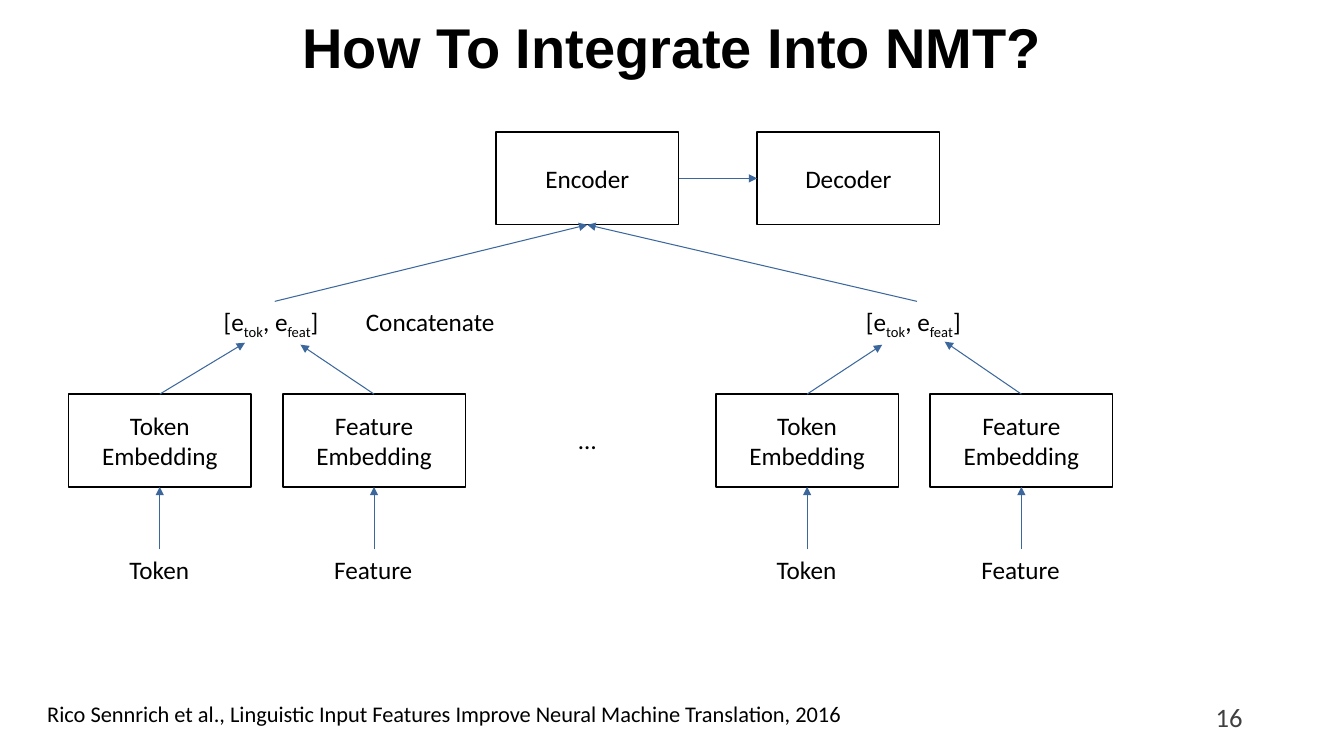
import pptx
import pptx.util
import pptx.dml.color
import pptx.enum.shapes
import pptx.enum.text
import pptx.oxml.ns
from lxml import etree

Inches, Pt = pptx.util.Inches, pptx.util.Pt
ALIGN = pptx.enum.text.PP_ALIGN
ANCHOR = pptx.enum.text.MSO_ANCHOR

TITLE = "How To Integrate Into NMT?"
PAGE_NUMBER = "16"
CITATION = ("Rico Sennrich et al., Linguistic Input Features Improve "
            "Neural Machine Translation, 2016")
VECTOR = [("[e", False), ("tok", True), (", e", False), ("feat", True), ("]", False)]
INPUTS = [("Token", 0.8), ("Feature", 0.99)]
GROUPS = [
    {"left": 0.68, "vector_left": 2.12, "tips": [(2.43, 3.4), (2.98, 3.42)]},
    {"left": 7.1, "vector_left": 8.49, "tips": [(8.75, 3.42), (9.37, 3.39)]},
]
COLORS = {"text": "000000", "number": "404040", "box": "FFFFFF",
          "border": "000000", "arrow": "3B679C"}
BOX_W, BOX_H = 1.81, 0.92
BOX_STEP = 2.125
CODER_Y, VECTOR_Y, EMBEDDING_Y, INPUT_Y = 1.31, 2.99, 3.91, 5.45
LABEL_H = 0.4
TOP, BOTTOM, LEFT, RIGHT = 0, 2, 1, 3


def rgb(name):
    return pptx.dml.color.RGBColor.from_string(COLORS[name])


def write(shape, text, size=18, font="Calibri", color="text", bold=False,
          align=ALIGN.LEFT, anchor=ANCHOR.TOP, wrap=True):
    frame = shape.text_frame
    frame.word_wrap = wrap
    frame.vertical_anchor = anchor
    if not wrap:
        frame.auto_size = pptx.enum.text.MSO_AUTO_SIZE.SHAPE_TO_FIT_TEXT
    paragraph = frame.paragraphs[0]
    paragraph.alignment = align
    for part, subscript in [(text, False)] if isinstance(text, str) else text:
        run = paragraph.add_run()
        run.text = part
        run.font.size = Pt(size)
        run.font.name = font
        run.font.bold = bold
        run.font.color.rgb = rgb(color)
        if subscript:
            run._r.get_or_add_rPr().set("baseline", "-25000")
    return shape


def label(slide, text, x, y, w, h=LABEL_H, **style):
    area = slide.shapes.add_textbox(Inches(x), Inches(y), Inches(w), Inches(h))
    return write(area, text, **style)


def box(slide, text, x, y):
    rectangle = slide.shapes.add_shape(
        pptx.enum.shapes.MSO_SHAPE.RECTANGLE,
        Inches(x), Inches(y), Inches(BOX_W), Inches(BOX_H))
    rectangle.shadow.inherit = False
    rectangle.fill.solid()
    rectangle.fill.fore_color.rgb = rgb("box")
    rectangle.line.color.rgb = rgb("border")
    rectangle.line.width = Pt(1)
    return write(rectangle, text, align=ALIGN.CENTER, anchor=ANCHOR.MIDDLE)


def arrow(slide, source, source_side, target, target_side=None):
    tip = (0, 0) if target_side is not None else target
    line = slide.shapes.add_connector(
        pptx.enum.shapes.MSO_CONNECTOR.STRAIGHT, 0, 0, Inches(tip[0]), Inches(tip[1]))
    line.begin_connect(source, source_side)
    if target_side is not None:
        line.end_connect(target, target_side)
    line.line.color.rgb = rgb("arrow")
    line.line.width = Pt(0.75)
    qn = pptx.oxml.ns.qn
    etree.SubElement(line.line._get_or_add_ln(), qn("a:tailEnd"), type="triangle")
    etree.SubElement(line._element.spPr, qn("a:effectLst"))


def main():
    """Build the slide on feeding token and feature embeddings to NMT."""
    deck = pptx.Presentation()
    deck.slide_width, deck.slide_height = Inches(13.33), Inches(7.5)
    slide = deck.slides.add_slide(deck.slide_layouts[6])

    label(slide, TITLE, 0, 0, 13.33, 0.92, size=40, font="Arial", bold=True,
          align=ALIGN.CENTER, anchor=ANCHOR.MIDDLE)
    label(slide, PAGE_NUMBER, 11.71, 6.9, 0.96, 0.31, size=19, color="number",
          align=ALIGN.CENTER)
    label(slide, CITATION, 0.37, 6.9, 8.17, 0.37, size=16, wrap=False)

    encoder = box(slide, "Encoder", 4.92, CODER_Y)
    decoder = box(slide, "Decoder", 7.51, CODER_Y)
    arrow(slide, encoder, RIGHT, decoder, LEFT)

    for group in GROUPS:
        vector = label(slide, VECTOR, group["vector_left"], VECTOR_Y, 1.21, wrap=False)
        arrow(slide, vector, TOP, encoder, BOTTOM)
        for i, ((name, width), tip) in enumerate(zip(INPUTS, group["tips"])):
            x = group["left"] + i * BOX_STEP
            embedding = box(slide, f"{name} Embedding", x, EMBEDDING_Y)
            token = label(slide, name, x + (BOX_W - width) / 2, INPUT_Y, width, wrap=False)
            arrow(slide, token, TOP, embedding, BOTTOM)
            arrow(slide, embedding, TOP, tip)

    label(slide, "Concatenate", 3.53, VECTOR_Y, 1.55, wrap=False)
    label(slide, "…", 5.64, 4.16, 0.38, wrap=False)
    deck.save("out.pptx")


if __name__ == "__main__":
    main()
